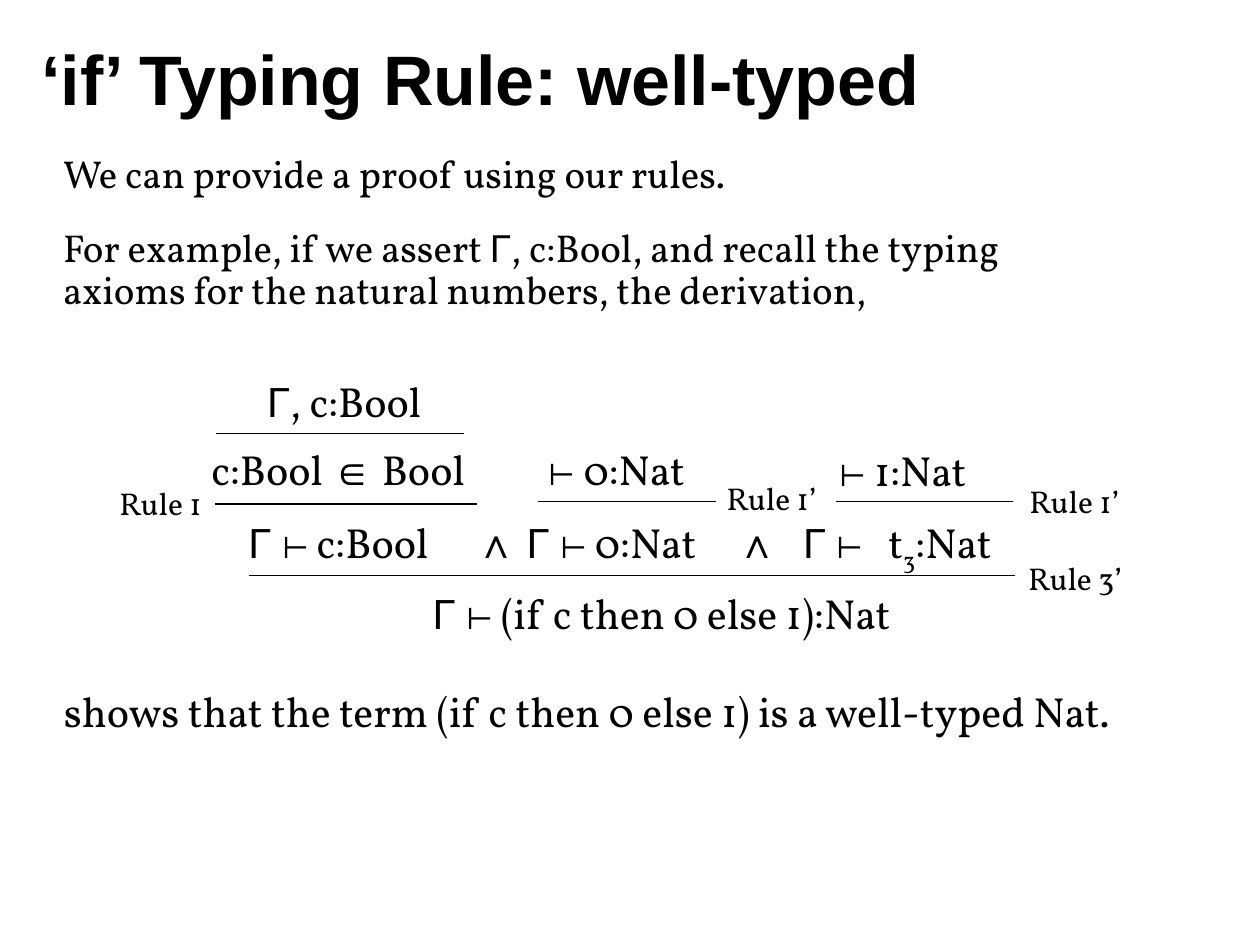
from lxml.etree import SubElement
from pptx import Presentation
from pptx.dml.color import RGBColor
from pptx.enum.shapes import MSO_CONNECTOR as Link
from pptx.enum.text import MSO_ANCHOR as Anchor, MSO_AUTO_SIZE as Fit, PP_ALIGN as Align
from pptx.oxml.ns import qn
from pptx.util import Pt

SERIF, SANS, MONO = "Vollkorn", "Arial", "Courier New"
INK = "000000"
GAMMA, PROVES = ("Γ ", SANS), ("⊢", MONO)


def paint(fmt, color):
    """Set a colour format from a hex string."""
    fmt.rgb = RGBColor.from_string(color)


def write(frame, paras, size=24, font=SERIF, bold=False, align=Align.LEFT,
          space=None, gap=0, tabs=(), wrap=True, anchor=Anchor.TOP):
    """Fill a frame with paragraphs made of strings or (text, font, base) runs."""
    frame.word_wrap = wrap
    frame.auto_size = Fit.NONE
    frame.vertical_anchor = anchor
    for i, runs in enumerate(paras):
        para = frame.add_paragraph() if i else frame.paragraphs[0]
        para.alignment = align
        para.line_spacing = space
        para.space_before = Pt(gap if i else 0)
        if tabs:
            stops = SubElement(para._p.get_or_add_pPr(), qn("a:tabLst"))
            for stop in tabs:
                SubElement(stops, qn("a:tab"), pos=str(Pt(stop)), algn="l")
        for part in runs:
            text, face, base = ((part, font) if isinstance(part, str) else part + (0,))[:2] + (
                part[2] if not isinstance(part, str) and len(part) > 2 else 0,)
            run = para.add_run()
            run.text = text
            run.font.name, run.font.size, run.font.bold = face, Pt(size), bold
            paint(run.font.color, INK)
            if base:
                run.font._element.set("baseline", str(base * 1000))


def label(slide, box, *paras, **style):
    """Add a text box in the given box."""
    write(slide.shapes.add_textbox(*map(Pt, box)).text_frame, paras, **style)


def bar(slide, x, y, width):
    """Draw a horizontal inference bar."""
    line = slide.shapes.add_connector(Link.STRAIGHT, Pt(x), Pt(y), Pt(x + width), Pt(y))
    line.line.width = Pt(0.75)
    paint(line.line.color, INK)
    SubElement(line._element.spPr, qn("a:effectLst"))


def head(slide, box):
    """Place and format the title."""
    title = slide.shapes.title
    title.left, title.top, title.width, title.height = map(Pt, box)
    write(title.text_frame, [["‘if’ Typing Rule: well-typed"]], size=40, font=SANS,
          bold=True, anchor=Anchor.MIDDLE)


def intro(slide, box):
    """Write the lead-in to the derivation."""
    label(slide, box,
          ["We can provide a proof using our rules."],
          ["For example, if we assert ", ("Γ", SANS),
           ", c:Bool, and recall the typing axioms for the natural numbers, the derivation,"],
          size=22.2, space=0.9, gap=18.5)


def proof(slide, box):
    """Draw the derivation tree."""
    left, top, width, _ = box
    row = 36

    label(slide, (left + 80, top, 111, row), [("Γ", SANS), ", c:Bool"],
          align=Align.CENTER, wrap=False)
    bar(slide, left + 62, top + 36.7, 142)
    label(slide, (left + 50, top + 39, 164, row), ["c:Bool ", ("∈", SANS), " Bool"],
          align=Align.CENTER, wrap=False)
    bar(slide, left + 61.4, top + 77, 150)

    for value, x, y in (("0", 246, 39), ("1", 412, 39.6)):
        label(slide, (left + x, top + y, 102, row), [PROVES, f" {value}:Nat"], wrap=False)
    for x in (246.4, 416.4):
        bar(slide, left + x, top + 75.6, 101.5)

    label(slide, (left + 73.6, top + 80.6, 480, 40),
          [GAMMA, PROVES, " c:Bool", ("\t∧\tΓ ", SANS), PROVES, " 0:Nat",
           ("\t∧\tΓ ", SANS), ("⊢ ", MONO), "t", ("3", SERIF, -25), ":Nat"],
          tabs=(130, 159, 279, 317))
    bar(slide, left + 81, top + 118, 438)
    label(slide, (left + 179, top + 121, 296, row),
          [GAMMA, PROVES, " (if c then 0 else 1):Nat"])

    for name, x, y in (("1", 0, 62), ("1’", 347, 59), ("1’", 520, 61), ("3’", 519.3, 105)):
        label(slide, (left + x, top + y, 72, 29), [f"Rule {name}"], size=18, wrap=False)


def close(slide, box):
    """Write the conclusion."""
    label(slide, box, ["shows that the term (if c then 0 else 1) is a well-typed Nat."])


def main():
    """Build and save the slide."""
    deck = Presentation()
    deck.slide_width, deck.slide_height = Pt(720), Pt(540)
    slide = deck.slides.add_slide(deck.slide_layouts[5])
    head(slide, (16.5, 11, 578, 67))
    intro(slide, (29, 85, 610, 111))
    proof(slide, (61.2, 211, 592, 157))
    close(slide, (29.5, 388, 643, 65))
    deck.save("out.pptx")


if __name__ == "__main__":
    main()
